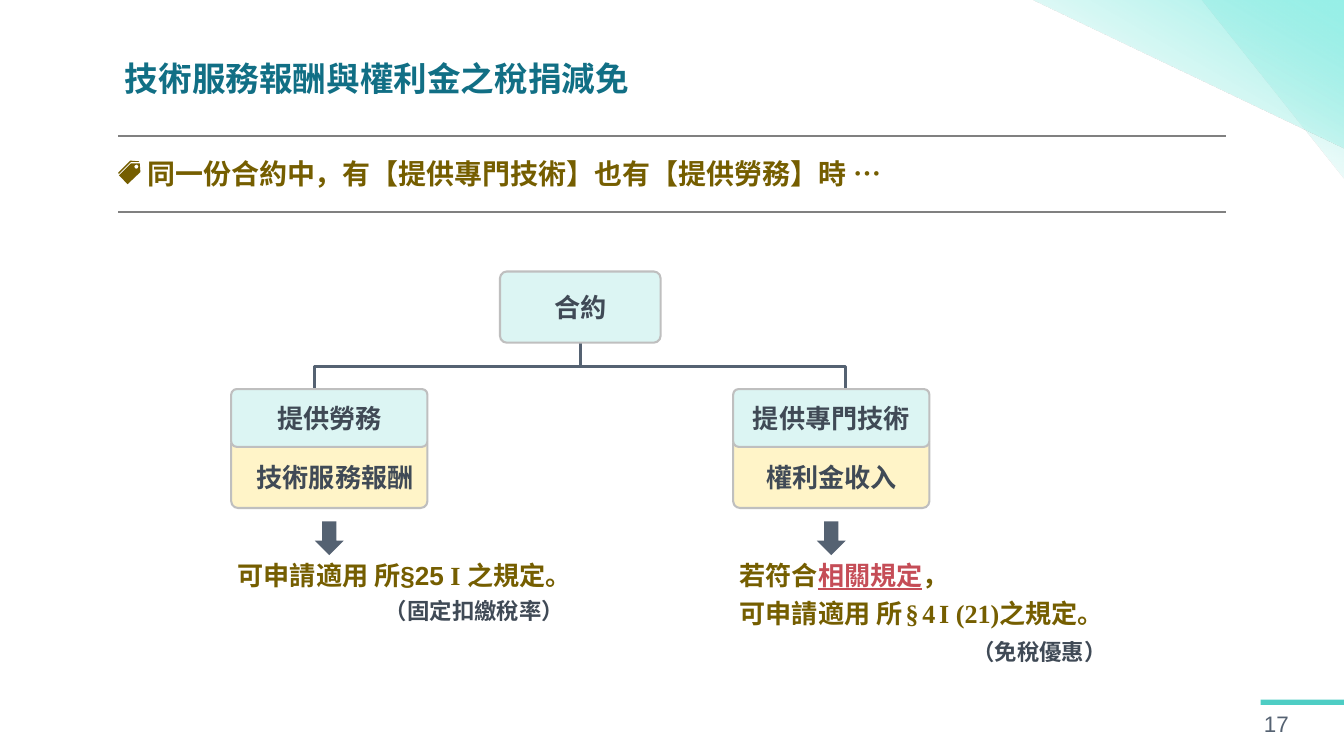
"""Builds the slide on tax relief for service fees and royalties under one contract."""
from math import cos, pi, sin

from lxml import etree
from pptx import Presentation
from pptx.dml.color import RGBColor
from pptx.enum.shapes import MSO_CONNECTOR, MSO_SHAPE
from pptx.enum.text import MSO_ANCHOR, PP_ALIGN
from pptx.oxml.ns import qn
from pptx.util import Inches, Pt

WIDTH, HEIGHT = 20, 11.25
MARGIN = 1.76
COLUMN_LEFTS = (3.44, 10.91)
BOX_WIDTH = 2.92
ACTIVITY_TOP, INCOME_TOP, ARROW_TOP, RULE_TOP = 5.79, 6.5, 7.76, 8.27
ARROW_WIDTH, ARROW_HEIGHT = 0.43, 0.5
CONTRACT_WIDTH, CONTRACT_HEIGHT = 2.39, 1.06
BRACE_SPAN, BRACE_DEPTH = 7.9, 0.86
SANS, SERIF = "Arial", "Times New Roman"

COLORS = {
    "title": "116F85", "olive": "755E00", "ink": "404A56", "slate": "556272",
    "red": "C54D57", "rule": "808080", "border": "BFBFBF", "aqua": "DCF5F3",
    "cream": "FFF4C8", "teal": "4ECDC4",
}
CORNER_STOPS = [(0, "97F0E8", 100), (50, "A6F0E8", 44), (100, "E0F9F6", 0)]
CORNERS = [(2.12, 2.67), (4.65, 2.21)]

TITLE = "技術服務報酬與權利金之稅捐減免"
SCENARIO = "同一份合約中，有【提供專門技術】也有【提供勞務】時 …"
CONTRACT = "合約"
PAGE = "17"
BRANCHES = [
    {
        "activity": "提供勞務", "income": "技術服務報酬", "indent": 0.17,
        "rule": [[("可申請適用 所§25", {}), (" I ", {"font": SERIF}), ("之規定。", {})]],
        "font": SANS, "rule_size": (5.22, 0.57),
        "note": "（固定扣繳稅率）", "note_area": (5.63, 8.84, 2.89, 0.5),
    },
    {
        "activity": "提供專門技術", "income": "權利金收入", "indent": 0,
        "rule": [
            [("若符合", {}), ("相關規定", {"color": "red", "underline": True}), ("，", {})],
            [("可申請適用 所", {}), (" ", {"size": 16}), ("§", {}), (" ", {"size": 16}),
             ("4", {}), (" ", {"size": 16}), ("I (21)之規定。", {})],
        ],
        "font": SERIF, "rule_size": (5.69, 1.14),
        "note": "（免稅優惠）", "note_area": (14.37, 9.45, 2.22, 0.5),
    },
]
TAG_OUTLINES = [
    [(2.08, 2.43), (1.95, 2.43), (1.77, 2.61), (1.9, 2.74), (2.09, 2.56)],
    [(2.03 + 0.03 * cos(k * pi / 6), 2.48 + 0.03 * sin(k * pi / 6)) for k in range(12)],
    [(1.77, 2.59), (1.76, 2.57), (1.94, 2.39), (2.07, 2.4), (2.07, 2.41), (1.95, 2.41)],
]


def rgb(name):
    return RGBColor.from_string(COLORS[name])


def style_run(run, size, color, font=SANS, bold=True, underline=None):
    run.font.size, run.font.name = Pt(size), font
    run.font.bold, run.font.underline = bold, underline
    run.font.color.rgb = rgb(color)


def add_label(slide, area, paragraphs, size, color, font=SANS, bold=True):
    frame = slide.shapes.add_textbox(*map(Inches, area)).text_frame
    frame.word_wrap = False
    for index, pieces in enumerate(paragraphs):
        paragraph = frame.add_paragraph() if index else frame.paragraphs[0]
        paragraph.space_before = Pt(7 if index else 0)
        for words, changes in pieces:
            run = paragraph.add_run()
            run.text = words
            style_run(run, **{"size": size, "color": color, "font": font, "bold": bold, **changes})
    return frame


def add_figure(slide, preset, area, fill=None, line=None, weight=2.25):
    figure = slide.shapes.add_shape(preset, *map(Inches, area))
    figure.shadow.inherit = False
    if fill:
        figure.fill.solid()
        figure.fill.fore_color.rgb = rgb(fill)
    else:
        figure.fill.background()
    if line:
        figure.line.color.rgb, figure.line.width = rgb(line), Pt(weight)
    else:
        figure.line.fill.background()
    return figure


def add_box(slide, area, words, fill, indent=0, drop=0):
    box = add_figure(slide, MSO_SHAPE.ROUNDED_RECTANGLE, area, fill, "border")
    box.adjustments[0] = 0.096
    frame = box.text_frame
    frame.text = words
    frame.word_wrap, frame.vertical_anchor = True, MSO_ANCHOR.MIDDLE
    frame.margin_left, frame.margin_top = Inches(0.1 + indent), Inches(0.05 + drop)
    frame.paragraphs[0].alignment = PP_ALIGN.CENTER
    style_run(frame.paragraphs[0].runs[0], 28, "ink")


def add_corner(slide, width, height):
    corner = add_figure(slide, MSO_SHAPE.RIGHT_TRIANGLE, (WIDTH - width, 0, width, height))
    corner.rotation = 180
    gradient = etree.Element(qn("a:gradFill"), rotWithShape="0")
    stops = etree.SubElement(gradient, qn("a:gsLst"))
    for position, color, opacity in CORNER_STOPS:
        stop = etree.SubElement(stops, qn("a:gs"), pos=str(position * 1000))
        tint = etree.SubElement(stop, qn("a:srgbClr"), val=color)
        etree.SubElement(tint, qn("a:alpha"), val=str(opacity * 1000))
    etree.SubElement(gradient, qn("a:lin"), ang=str(120 * 60000), scaled="0")
    properties = corner.fill._xPr
    properties.replace(properties.find(qn("a:noFill")), gradient)


def add_divider(slide, y):
    ends = map(Inches, (WIDTH - MARGIN, y, MARGIN, y))
    divider = slide.shapes.add_connector(MSO_CONNECTOR.STRAIGHT, *ends)
    divider.line.color.rgb, divider.line.width = rgb("rule"), Pt(2.25)
    etree.SubElement(divider._element.spPr, qn("a:effectLst"))


def add_tag(slide):
    outlines = [[(x * 1000, y * 1000) for x, y in outline] for outline in TAG_OUTLINES]
    builder = slide.shapes.build_freeform(*outlines[0][0], scale=Inches(1) / 1000)
    for index, outline in enumerate(outlines):
        if index:
            builder.move_to(*outline[0])
        builder.add_line_segments(outline[1:], close=True)
    tag = builder.convert_to_shape()
    tag.shadow.inherit = False
    tag.fill.solid()
    tag.fill.fore_color.rgb = rgb("olive")
    tag.line.fill.background()


def add_branch(slide, left, branch):
    add_box(slide, (left, INCOME_TOP, BOX_WIDTH, 1.06), branch["income"], "cream",
            branch["indent"], 0.13)
    add_box(slide, (left, ACTIVITY_TOP, BOX_WIDTH, 0.86), branch["activity"], "aqua")
    arrow_left = left + (BOX_WIDTH - ARROW_WIDTH) / 2
    add_figure(slide, MSO_SHAPE.DOWN_ARROW,
               (arrow_left, ARROW_TOP, ARROW_WIDTH, ARROW_HEIGHT), "slate")
    add_label(slide, (left, RULE_TOP, *branch["rule_size"]), branch["rule"], 28, "olive",
              branch["font"])
    add_label(slide, branch["note_area"], [[(branch["note"], {})]], 24, "ink")


def main():
    deck = Presentation()
    deck.slide_width, deck.slide_height = Inches(WIDTH), Inches(HEIGHT)
    slide = deck.slides.add_slide(deck.slide_layouts[6])

    add_figure(slide, MSO_SHAPE.RECTANGLE, (18.76, 10.41, 1.24, 0.08), "teal")
    page = add_label(slide, (18.71, 10.5, 1.29, 0.53), [[(PAGE, {})]], 24, "slate", bold=False)
    page.vertical_anchor = MSO_ANCHOR.MIDDLE
    for width, height in CORNERS:
        add_corner(slide, width, height)

    add_label(slide, (MARGIN, 0.81, 7.78, 0.71), [[(TITLE, {})]], 36, "title")
    for y in (2.02, 3.15):
        add_divider(slide, y)
    add_label(slide, (2.09, 2.28, 11.26, 0.61), [[(SCENARIO, {})]], 30, "olive")
    add_tag(slide)

    center = (sum(COLUMN_LEFTS) + BOX_WIDTH) / 2
    brace = add_figure(slide, MSO_SHAPE.LEFT_BRACE,
                       (center - BRACE_DEPTH / 2, 1.5, BRACE_DEPTH, BRACE_SPAN),
                       line="slate", weight=3)
    brace.rotation = 90
    brace.adjustments[0], brace.adjustments[1] = 0, 0.5
    add_box(slide, (center - CONTRACT_WIDTH / 2, 4.04, CONTRACT_WIDTH, CONTRACT_HEIGHT),
            CONTRACT, "aqua")
    for left, branch in zip(COLUMN_LEFTS, BRANCHES):
        add_branch(slide, left, branch)

    deck.save("out.pptx")


if __name__ == "__main__":
    main()
